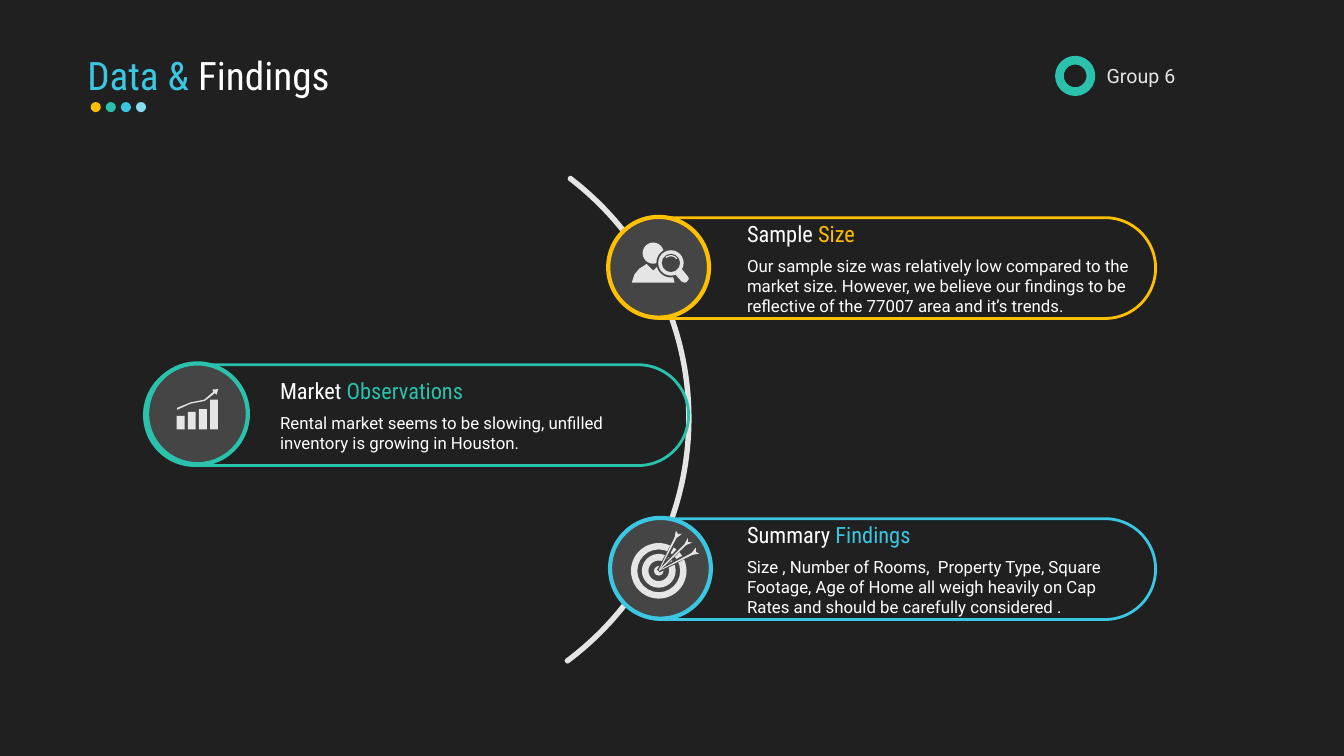
from pptx import Presentation
from pptx import util as u
from pptx.dml import color
from pptx.enum import shapes, text
from pptx.oxml import ns
from lxml import etree

COLORS = {
    "back": "202020",
    "white": "FFFFFF",
    "light": "E5E5E5",
    "medal": "454545",
    "yellow": "FFC000",
    "teal": "2AC2AC",
    "blue": "3BC7E2",
    "sky": "89DDEE",
}
KINDS = shapes.MSO_SHAPE
HEAD_FONT = "Roboto Condensed"
BODY_FONT = "Roboto"
DEGREE = 0.6


def rgb(name):
    return color.RGBColor.from_string(COLORS[name])


def paint(shape, fill=None, line=None, width=0):
    shape.shadow.inherit = False
    if fill:
        shape.fill.solid()
        shape.fill.fore_color.rgb = rgb(fill)
    else:
        shape.fill.background()
    if line:
        shape.line.color.rgb = rgb(line)
        shape.line.width = u.Pt(width)
    else:
        shape.line.fill.background()
    return shape


def add_preset(page, kind, box, fill=None, line=None, width=0, adjust=()):
    shape = page.shapes.add_shape(kind, *[u.Cm(side) for side in box])
    for index, value in enumerate(adjust):
        shape.adjustments[index] = value
    return paint(shape, fill, line, width)


def add_disc(page, x, y, radius, fill):
    box = (x - radius, y - radius, 2 * radius, 2 * radius)
    return add_preset(page, KINDS.OVAL, box, fill)


def add_ring(page, x, y, outer, inner, fill):
    box = (x - outer, y - outer, 2 * outer, 2 * outer)
    return add_preset(page, KINDS.DONUT, box, fill, adjust=[(outer - inner) / (2 * outer)])


def add_polygon(page, x, y, points, fill):
    places = [(u.Cm(x + dx), u.Cm(y + dy)) for dx, dy in points]
    builder = page.shapes.build_freeform(*places[0])
    builder.add_line_segments(places[1:], close=True)
    return paint(builder.convert_to_shape(), fill)


def set_frame(shape, left, right):
    frame = shape.text_frame
    frame.word_wrap = True
    frame.vertical_anchor = text.MSO_ANCHOR.MIDDLE
    frame.margin_left, frame.margin_right = u.Cm(left), u.Cm(right)
    frame.margin_top = frame.margin_bottom = u.Cm(0.13)
    return frame


def write(para, spans, size, font):
    para.alignment = text.PP_ALIGN.LEFT
    para.font.size = u.Pt(size)
    para.font.name = font
    for words, tint in spans:
        span = para.add_run()
        span.text = words
        span.font.color.rgb = rgb(tint)


def add_words(page, box, spans, size, font, left=0):
    label = page.shapes.add_textbox(*[u.Cm(side) for side in box])
    para = set_frame(label, left, 0).paragraphs[0]
    write(para, spans, size, font)
    return para


def draw_heading(page, box):
    x, y, w, h = box
    spans = [("Data & ", "blue"), ("Findings", "white")]
    para = add_words(page, box, spans, 42, HEAD_FONT)
    para.line_spacing = 0.9
    for index, tint in enumerate(["yellow", "teal", "blue", "sky"]):
        add_disc(page, x + 0.32 + 0.57 * index, y + 2.07, 0.19, tint)


def draw_group_label(page, box):
    x, y, w, h = box
    add_ring(page, x + 0.76, y + 0.76, 0.76, 0.43, "teal")
    words_box = (x + 1.7, y + 0.18, w - 1.7, h - 0.38)
    add_words(page, words_box, [("Group 6", "light")], 21, BODY_FONT, 0.25)


def draw_arc(page, box):
    adjust = [307.4 * DEGREE, 53.3 * DEGREE, 0.002]
    add_preset(page, KINDS.BLOCK_ARC, box, None, "light", 4.5, adjust)


def draw_chart_icon(page, x, y):
    for index, height in enumerate([0.51, 0.66, 0.76, 1.12]):
        box = (x + 1.12 + 0.42 * index, y + 2.49 - height, 0.3, height)
        add_preset(page, KINDS.RECTANGLE, box, "light")
    trend = [(1.14, 1.75), (1.65, 1.52), (2.18, 1.42), (2.57, 1.12), (2.62, 1.19), (2.69, 0.97),
             (2.46, 0.99), (2.51, 1.07), (2.16, 1.37), (1.65, 1.47), (1.14, 1.68)]
    add_polygon(page, x, y, trend, "light")


def draw_search_icon(page, x, y):
    body = [(0.89, 2.49), (0.99, 2.18), (1.17, 1.96), (1.45, 1.78), (1.7, 2.03),
            (1.85, 1.88), (2.46, 2.29), (2.51, 2.49)]
    handle = [(2.54, 2.18), (2.79, 1.98), (3, 2.24), (3.05, 2.34), (2.97, 2.46),
              (2.9, 2.49), (2.77, 2.44)]
    lens_x, lens_y = x + 2.37, y + 1.74
    add_polygon(page, x, y, body, "light")
    add_disc(page, x + 1.7, y + 1.37, 0.4, "light")
    add_disc(page, lens_x, lens_y, 0.55, "medal")
    add_ring(page, lens_x, lens_y, 0.48, 0.35, "light")
    add_polygon(page, x, y, handle, "light")
    glint = (lens_x - 0.3, lens_y - 0.3, 0.6, 0.6)
    add_preset(page, KINDS.BLOCK_ARC, glint, "light",
               adjust=[225 * DEGREE, 325 * DEGREE, 0.08])


def draw_target_icon(page, x, y):
    x, y = x + 1.84, y + 2
    add_ring(page, x, y, 1.05, 0.81, "light")
    add_ring(page, x, y, 0.64, 0.39, "light")
    add_disc(page, x, y, 0.18, "light")
    steep = [(0.11, -0.18), (0.67, -1.24), (0.88, -1.4), (0.72, -1.4), (0.65, -1.52),
             (0.6, -1.27), (0.01, -0.05)]
    middle = [(0, -0.03), (0.98, -1.02), (1.1, -1.24), (1.1, -1.09), (1.26, -1.07),
              (1.03, -0.97), (0.03, 0)]
    shallow = [(-dy, -dx) for dx, dy in steep]
    for arrow in (steep, middle, shallow):
        dx, dy = arrow[1]
        slot = page.shapes.add_connector(shapes.MSO_CONNECTOR.STRAIGHT,
                                         u.Cm(x), u.Cm(y), u.Cm(x + dx), u.Cm(y + dy))
        slot.line.color.rgb = rgb("medal")
        slot.line.width = u.Pt(4)
        etree.SubElement(slot._element.spPr, ns.qn("a:effectLst"))
    for arrow in (steep, middle, shallow):
        add_polygon(page, x, y, arrow, "light")


def draw_finding(page, box, tint, medal_shift, draw_icon, title, body):
    pill = add_preset(page, KINDS.ROUNDED_RECTANGLE, box, None, tint, 3, [0.5])
    frame = set_frame(pill, 4.57, 0.25)
    first, second = title
    write(frame.paragraphs[0], [(first, "white"), (second, tint)], 24, HEAD_FONT)
    write(frame.add_paragraph(), [(body, "white")], 18, BODY_FONT)
    for para in frame.paragraphs:
        para.space_after = u.Pt(9)
    x, y, w, h = box
    dx, dy = medal_shift
    add_preset(page, KINDS.OVAL, (x + dx, y + dy, h, h), "medal", tint, 4.5)
    draw_icon(page, x + dx, y + dy)


def main():
    deck = Presentation()
    deck.slide_width, deck.slide_height = u.Cm(50.8), u.Cm(28.58)
    page = deck.slides.add_slide(deck.slide_layouts[6])
    page.background.fill.solid()
    page.background.fill.fore_color.rgb = rgb("back")
    draw_arc(page, (3.15, 4.37, 22.91, 22.91))
    draw_heading(page, (3.3, 1.98, 33.53, 1.91))
    draw_finding(page, (5.46, 13.79, 20.57, 3.81), "teal", (0.1, -0.05), draw_chart_icon,
                 ("Market ", "Observations"),
                 "Rental market seems to be slowing, unfilled inventory is growing in Houston.")
    draw_finding(page, (23.11, 8.23, 20.57, 3.81), "yellow", (-0.12, -0.03), draw_search_icon,
                 ("Sample ", "Size"),
                 "Our sample size was relatively low compared to the market size. However, "
                 "we believe our findings to be reflective of the 77007 area and it’s trends.")
    draw_finding(page, (23.11, 19.61, 20.57, 3.81), "blue", (-0.05, -0.03), draw_target_icon,
                 ("Summary ", "Findings"),
                 "Size , Number of Rooms,  Property Type, Square Footage, Age of Home all "
                 "weigh heavily on Cap Rates and should be carefully considered .")
    draw_group_label(page, (39.88, 2.11, 10.08, 1.52))
    deck.save("out.pptx")


if __name__ == "__main__":
    main()
